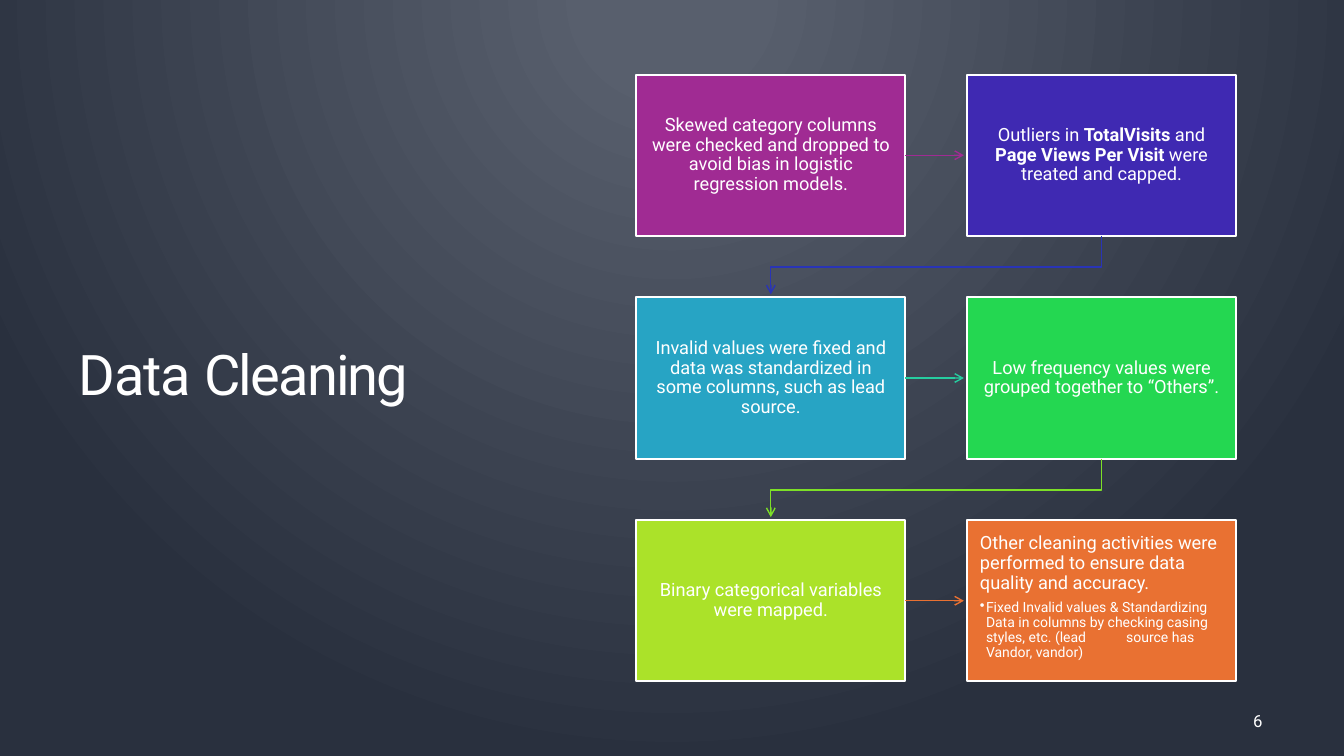
from lxml.etree import SubElement
from pptx import Presentation
from pptx.dml.color import RGBColor
from pptx.enum.shapes import MSO_CONNECTOR, MSO_SHAPE
from pptx.enum.text import MSO_ANCHOR, PP_ALIGN
from pptx.oxml import parse_xml
from pptx.oxml.ns import nsdecls, qn
from pptx.util import Inches, Pt

TITLE = [("Data ", -70), ("Cleaning", -130)]
PAGE_NUMBER = "6"
# Fill, then spans of (text, bold); row by row, two steps a row
STEPS = [
    ("A02B93", [("Skewed category columns were checked and dropped to avoid bias "
                 "in logistic regression models.", False)]),
    ("3F29B2", [("Outliers in ", False), ("TotalVisits ", True), ("and ", False),
                ("Page Views Per Visit ", True), ("were treated and capped.", False)]),
    ("27A4C4", [("Invalid values were fixed and data was standardized in some "
                 "columns, such as lead source.", False)]),
    ("24D751", [("Low frequency values were grouped together to “Others”.", False)]),
    ("ABE229", [("Binary categorical variables were mapped.", False)]),
    ("E97132", [("Other cleaning activities were performed to ensure data quality "
                 "and accuracy.", False)]),
]
DETAIL = ("Fixed Invalid values & Standardizing Data in columns by checking casing "
          "styles, etc. (lead \tsource has Vandor, vandor)")
ARROW_COLORS = ["A02B93", "2934B6", "26CDA0", "7DE027", "E97132"]

FONT = "Roboto"
WHITE = "FFFFFF"
LEFT, TOP = 6.31, 0.74
BOX_WIDTH, BOX_HEIGHT = 2.67, 1.6
COLUMN_STEP, ROW_STEP = 3.28, 2.21
ARROW_LENGTH, ELBOW_DROP = 0.58, 0.31


def color(hex_string):
    return RGBColor.from_string(hex_string)


def add_span(para, text, size, bold=False):
    span = para.add_run()
    span.text = text
    span.font.name = FONT
    span.font.size = Pt(size)
    span.font.bold = bold
    span.font.color.rgb = color(WHITE)
    return span


def add_text_box(slide, left, top, width, height):
    frame = slide.shapes.add_textbox(
        Inches(left), Inches(top), Inches(width), Inches(height)).text_frame
    frame.word_wrap = True
    frame.vertical_anchor = MSO_ANCHOR.MIDDLE
    return frame


def paint_background(slide):
    slide.background.fill.solid()
    properties = slide.background._cSld.bg.bgPr
    solid = properties.find(qn("a:solidFill"))
    properties.replace(solid, parse_xml(
        f'<a:gradFill {nsdecls("a")} rotWithShape="1"><a:gsLst>'
        '<a:gs pos="10000"><a:srgbClr val="585F6D"/></a:gs>'
        '<a:gs pos="100000"><a:srgbClr val="29303E"/></a:gs></a:gsLst>'
        '<a:path path="circle">'
        '<a:fillToRect l="50000" t="15000" r="50000" b="169000"/>'
        '</a:path></a:gradFill>'))


def position(index):
    row, column = divmod(index, 2)
    return LEFT + column * COLUMN_STEP, TOP + row * ROW_STEP


def add_step(slide, index, fill, spans):
    left, top = position(index)
    box = slide.shapes.add_shape(MSO_SHAPE.RECTANGLE, Inches(left), Inches(top),
                                 Inches(BOX_WIDTH), Inches(BOX_HEIGHT))
    box.shadow.inherit = False
    box.fill.solid()
    box.fill.fore_color.rgb = color(fill)
    box.line.color.rgb = color(WHITE)
    box.line.width = Pt(1.5)
    frame = box.text_frame
    frame.word_wrap = True
    frame.vertical_anchor = MSO_ANCHOR.MIDDLE
    frame.margin_left = frame.margin_right = Inches(0.13)
    frame.margin_top = frame.margin_bottom = Inches(0.14)
    para = frame.paragraphs[0]
    para.alignment = PP_ALIGN.CENTER
    para.line_spacing = 0.9
    para.space_after = Pt(4.8)
    for text, bold in spans:
        add_span(para, text, 13, bold)
    return box


def add_detail(box):
    """Left-align the box from its top and add the bulleted detail."""
    frame = box.text_frame
    frame.vertical_anchor = MSO_ANCHOR.TOP
    frame.paragraphs[0].alignment = PP_ALIGN.LEFT
    para = frame.add_paragraph()
    para.level = 1
    para.alignment = PP_ALIGN.LEFT
    para.line_spacing = 0.9
    para.space_after = Pt(1.5)
    properties = para._p.get_or_add_pPr()
    properties.set("marL", str(Inches(0.06)))
    properties.set("indent", str(-Inches(0.06)))
    SubElement(properties, qn("a:buChar"), char="•")
    tabs = SubElement(properties, qn("a:tabLst"))
    SubElement(tabs, qn("a:tab"), pos=str(Inches(1.45)), algn="l")
    add_span(para, DETAIL, 10)


def style_arrow(arrow, hex_string):
    arrow.line.color.rgb = color(hex_string)
    arrow.line.width = Pt(1)
    SubElement(arrow.line._get_or_add_ln(), qn("a:tailEnd"), type="arrow")
    SubElement(arrow._element.spPr, qn("a:effectLst"))


def add_straight_arrow(slide, index, box):
    left, top = position(index)
    start, middle = left + BOX_WIDTH, top + BOX_HEIGHT / 2
    arrow = slide.shapes.add_connector(
        MSO_CONNECTOR.STRAIGHT, Inches(start), Inches(middle),
        Inches(start + ARROW_LENGTH), Inches(middle))
    arrow.begin_connect(box, 3)
    return arrow


def add_elbow_arrow(slide, index):
    """Lead from the right box of a row down to the left box of the next."""
    left, top = position(index)
    start, bottom = left + BOX_WIDTH / 2, top + BOX_HEIGHT
    end = start - COLUMN_STEP
    corners = [(start, bottom + ELBOW_DROP), (end, bottom + ELBOW_DROP),
               (end, bottom + ARROW_LENGTH)]
    builder = slide.shapes.build_freeform(Inches(start), Inches(bottom))
    builder.add_line_segments([(Inches(x), Inches(y)) for x, y in corners], close=False)
    arrow = builder.convert_to_shape()
    arrow.fill.background()
    return arrow


def main():
    deck = Presentation()
    deck.slide_width, deck.slide_height = Inches(13.33), Inches(7.5)
    slide = deck.slides.add_slide(deck.slide_layouts[6])
    paint_background(slide)

    title = add_text_box(slide, 0.68, 1.27, 3.94, 4.95).paragraphs[0]
    title.line_spacing = 0.9
    for text, spacing in TITLE:
        span = add_span(title, text, 40)
        span._r.get_or_add_rPr().set("spc", str(spacing))

    number = add_text_box(slide, 9.62, 6.95, 3, 0.4).paragraphs[0]
    number.alignment = PP_ALIGN.RIGHT
    add_span(number, PAGE_NUMBER, 12)

    boxes = [add_step(slide, index, *step) for index, step in enumerate(STEPS)]
    add_detail(boxes[-1])
    for index, hex_string in enumerate(ARROW_COLORS):
        if index % 2 == 0:
            arrow = add_straight_arrow(slide, index, boxes[index])
        else:
            arrow = add_elbow_arrow(slide, index)
        style_arrow(arrow, hex_string)

    deck.save("out.pptx")


if __name__ == "__main__":
    main()
